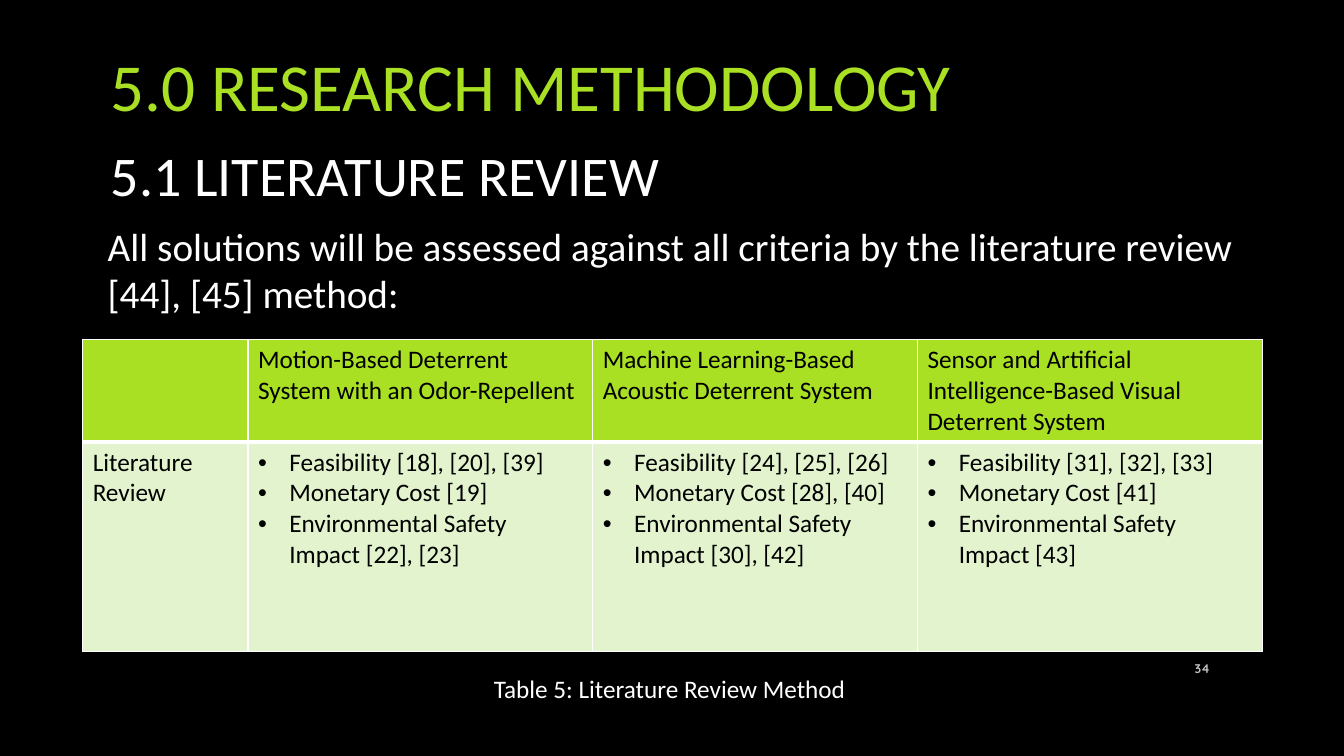
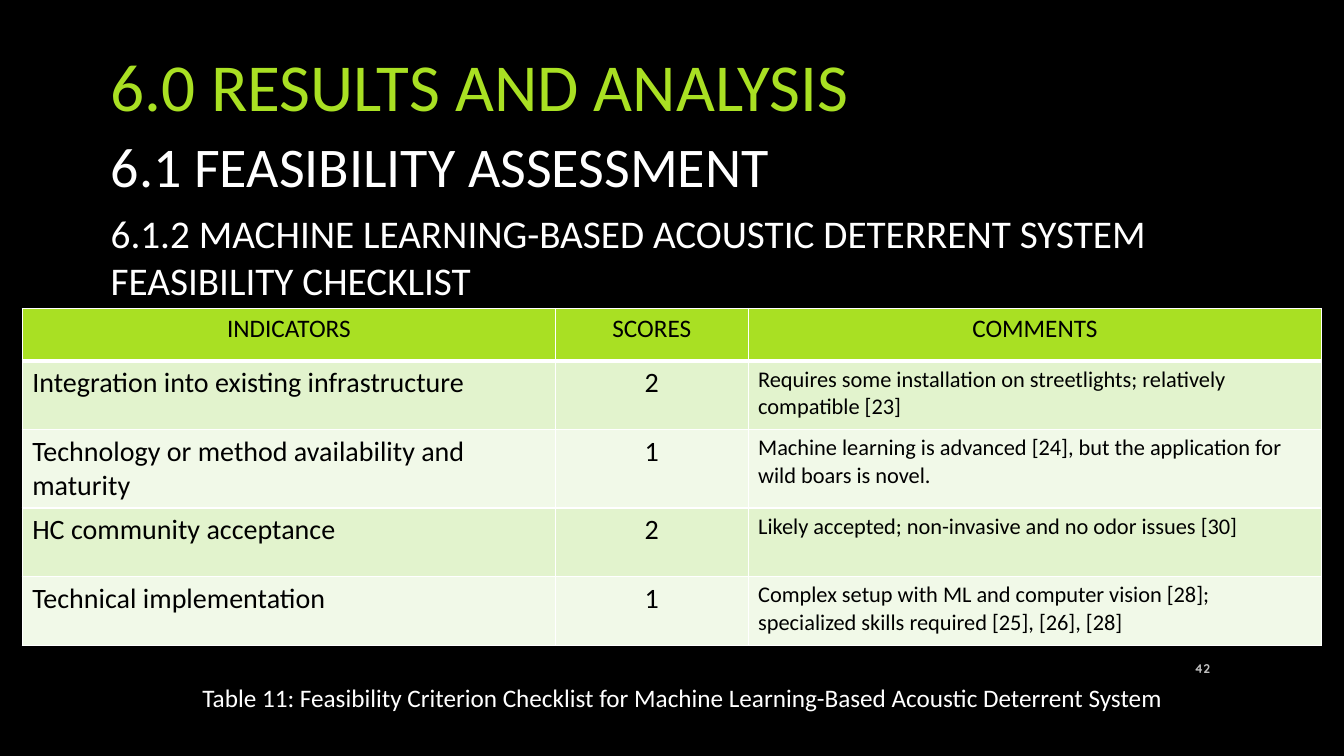
from lxml import etree
from pptx import Presentation
from pptx.dml.color import RGBColor
from pptx.enum.text import MSO_ANCHOR as ANCHOR, MSO_AUTO_SIZE as AUTO_SIZE, PP_ALIGN as ALIGN
from pptx.oxml import parse_xml
from pptx.oxml.ns import nsdecls, qn
from pptx.util import Inches, Pt

BLACK, WHITE, GREY = "000000", "FFFFFF", "BFBFBF"
LIME, BAND_DARK, BAND_LIGHT = "A9E023", "E2F3CD", "F1F9E8"
LEFT, CENTER, RIGHT = ALIGN.LEFT, ALIGN.CENTER, ALIGN.RIGHT
BULLET_INDENT = Inches(0.31)


def rgb(hex_color):
    return RGBColor.from_string(hex_color)


def write(frame, content, size, color, align=LEFT, font="Calibri", bold=False):
    """Fill a text frame with a string, or with a bulleted list of strings."""
    bulleted = isinstance(content, list)
    for index, line in enumerate(content if bulleted else [content]):
        paragraph = frame.paragraphs[0] if index == 0 else frame.add_paragraph()
        if bulleted:
            properties = paragraph._p.get_or_add_pPr()
            properties.set("marL", str(BULLET_INDENT))
            properties.set("indent", str(-BULLET_INDENT))
            etree.SubElement(properties, qn("a:buFont")).set("typeface", "Arial")
            etree.SubElement(properties, qn("a:buChar")).set("char", "•")
        paragraph.alignment = align
        run = paragraph.add_run()
        run.text = line
        run.font.color.rgb = rgb(color)
        style = {"name": font, "size": Pt(size), "bold": bold}
        for attribute, value in style.items():
            setattr(run.font, attribute, value)


# Each text is (wording, size, (left, top, width, height), wraps).
pages = [
    {
        "title": "5.0 RESEARCH METHODOLOGY",
        "number": "34",
        "texts": [
            ("5.1 LITERATURE REVIEW", 40, (1, 1.35, 6.05, 0.77), True),
            ("All solutions will be assessed against all criteria by the literature review "
             "[44], [45] method:", 28, (0.97, 2.16, 11.38, 1.35), True),
            ("Table 5: Literature Review Method", 18, (4.8, 6.63, 3.73, 0.4), False),
        ],
        "table_at": (0.82, 3.37),
        "columns": [1.64, 3.42, 3.22, 3.42],
        "row_heights": [0.87, 2.08],
        "header_align": LEFT,
        "body_sizes": [18] * 4,
        "body_aligns": [LEFT] * 4,
        "rows": [
            ["",
             "Motion-Based Deterrent System with an Odor-Repellent",
             "Machine Learning-Based Acoustic Deterrent System",
             "Sensor and Artificial Intelligence-Based Visual Deterrent System"],
            ["Literature Review",
             ["Feasibility [18], [20], [39]", "Monetary Cost [19]",
              "Environmental Safety Impact [22], [23]"],
             ["Feasibility [24], [25], [26]", "Monetary Cost [28], [40]",
              "Environmental Safety Impact [30], [42]"],
             ["Feasibility [31], [32], [33]", "Monetary Cost [41]",
              "Environmental Safety Impact [43]"]],
        ],
    },
    {
        "title": "6.0 RESULTS AND ANALYSIS",
        "number": "42",
        "texts": [
            ("6.1 FEASIBILITY ASSESSMENT", 40, (1, 1.26, 8.41, 0.77), True),
            ("6.1.2 MACHINE LEARNING-BASED ACOUSTIC DETERRENT SYSTEM FEASIBILITY CHECKLIST",
             28, (1, 2.03, 12.16, 1.04), True),
            ("Table 11: Feasibility Criterion Checklist for Machine Learning-Based Acoustic "
             "Deterrent System", 18, (1.91, 6.72, 9.83, 0.4), False),
        ],
        "table_at": (0.22, 3.06),
        "columns": [5.29, 1.91, 5.69],
        "row_heights": [0.52] + [0.68] * 4,
        "header_align": CENTER,
        "body_sizes": [20, 20, 16],
        "body_aligns": [LEFT, CENTER, LEFT],
        "rows": [
            ["INDICATORS", "SCORES", "COMMENTS"],
            ["Integration into existing infrastructure", "2",
             "Requires some installation on streetlights; relatively compatible [23]"],
            ["Technology or method availability and maturity", "1",
             "Machine learning is advanced [24], but the application for wild boars is novel."],
            ["HC community acceptance", "2",
             "Likely accepted; non-invasive and no odor issues [30]"],
            ["Technical implementation", "1",
             "Complex setup with ML and computer vision [28]; "
             "specialized skills required [25], [26], [28]"],
        ],
    },
]

prs = Presentation()
prs.slide_width, prs.slide_height = Inches(13.33), Inches(7.5)
backdrop = prs.slide_master.background.fill
backdrop.solid()
backdrop.fore_color.rgb = rgb(BLACK)
title_only = prs.slide_layouts[5]

for page in pages:
    slide = prs.slides.add_slide(title_only)

    title = slide.shapes.title
    title.left, title.top = Inches(1), Inches(0.03)
    title.width, title.height = Inches(11.65), Inches(1.62)
    title.text_frame.vertical_anchor = ANCHOR.MIDDLE
    write(title.text_frame, page["title"], 48, LIME)

    # Table
    rows, columns = page["rows"], page["columns"]
    left, top = page["table_at"]
    table = slide.shapes.add_table(
        len(rows), len(columns), Inches(left), Inches(top),
        Inches(sum(columns)), Inches(sum(page["row_heights"]))).table
    table.first_row = table.horz_banding = False
    for column, width in zip(table.columns, columns):
        column.width = Inches(width)
    for r, row in enumerate(rows):
        table.rows[r].height = Inches(page["row_heights"][r])
        is_header = r == 0
        fill = LIME if is_header else BAND_DARK if r % 2 else BAND_LIGHT
        borders = {"L": 1, "R": 1, "T": 3 if r == 1 else 1, "B": 3 if is_header else 1}
        for c, content in enumerate(row):
            cell = table.cell(r, c)
            cell_properties = cell._tc.get_or_add_tcPr()
            for side, weight in borders.items():
                cell_properties.append(parse_xml(
                    f'<a:ln{side} {nsdecls("a")} w="{Pt(weight)}"><a:solidFill>'
                    f'<a:srgbClr val="{WHITE}"/></a:solidFill></a:ln{side}>'))
            cell.fill.solid()
            cell.fill.fore_color.rgb = rgb(fill)
            if content:
                size = 18 if is_header else page["body_sizes"][c]
                align = page["header_align"] if is_header else page["body_aligns"][c]
                write(cell.text_frame, content, size, BLACK, align)

    # Headings and caption
    for wording, size, place, wraps in page["texts"]:
        frame = slide.shapes.add_textbox(*map(Inches, place)).text_frame
        frame.word_wrap = wraps
        frame.auto_size = AUTO_SIZE.SHAPE_TO_FIT_TEXT
        write(frame, wording, size, WHITE)

    number = slide.shapes.add_textbox(
        Inches(11.5), Inches(6.43), Inches(0.6), Inches(0.4)).text_frame
    number.word_wrap = True
    number.vertical_anchor = ANCHOR.MIDDLE
    write(number, page["number"], 9, GREY, RIGHT, "Quicksand", True)

prs.save("out.pptx")
